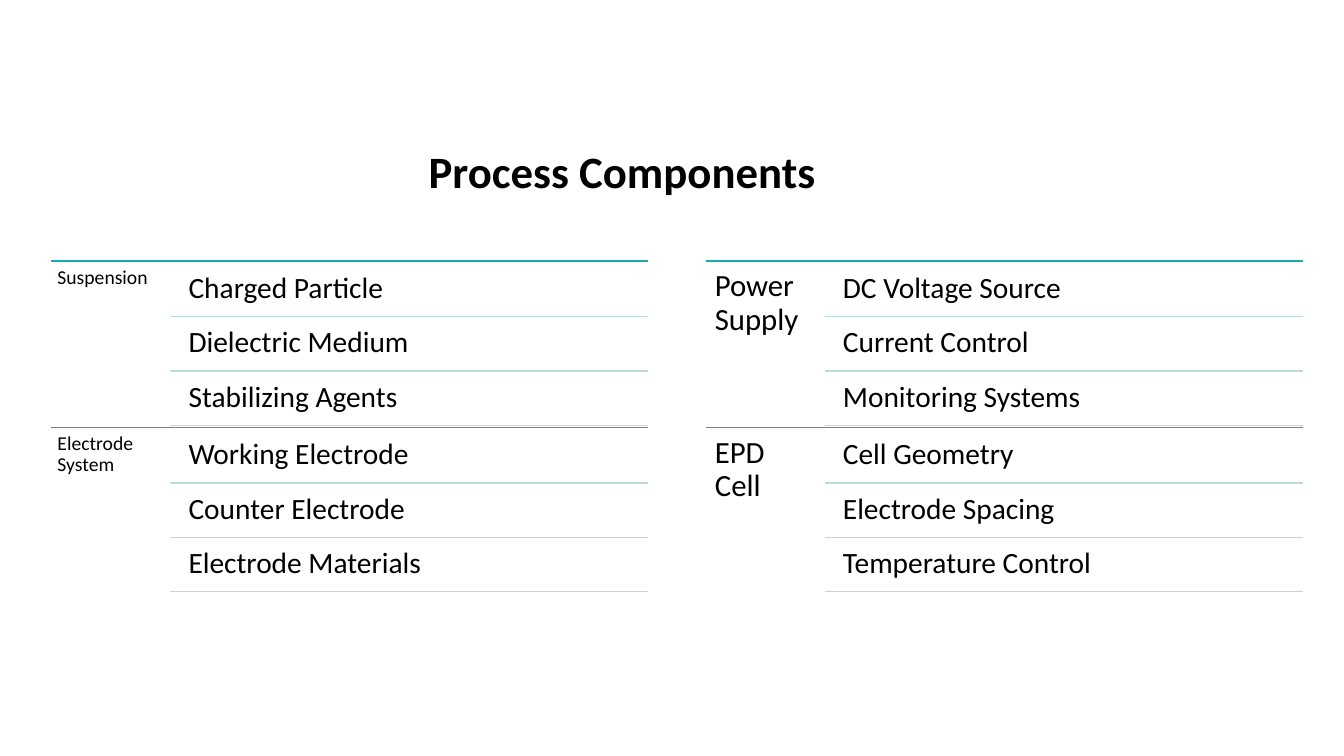
from dataclasses import dataclass

from lxml import etree
from pptx import Presentation
from pptx import util as u
from pptx.dml.color import RGBColor
from pptx.enum import shapes, text
from pptx.oxml import ns


@dataclass(frozen=True)
class Theme:
    font: str = "Calibri"
    ink: str = "000000"
    rule: str = "16AEA7"
    thin: str = "BDDBD9"
    title: int = 32
    item: int = 21
    small: int = 14
    large: int = 22


THEME = Theme()
LEFT = [
    ("Suspension", ["Charged Particle", "Dielectric Medium", "Stabilizing Agents"]),
    ("Electrode System", ["Working Electrode", "Counter Electrode", "Electrode Materials"]),
]
RIGHT = [
    ("Power Supply", ["DC Voltage Source", "Current Control", "Monitoring Systems"]),
    ("EPD Cell", ["Cell Geometry", "Electrode Spacing", "Temperature Control"]),
]


def px(n):
    return u.Emu(n * 9144)


def write(parent, words, box, size, pad=(9, 9), bold=False,
          align=text.PP_ALIGN.LEFT, anchor=text.MSO_ANCHOR.TOP):
    frame = parent.add_textbox(*map(px, box)).text_frame
    frame.word_wrap = True
    frame.vertical_anchor = anchor
    frame.margin_left = frame.margin_right = px(pad[0])
    frame.margin_top = frame.margin_bottom = px(pad[1])
    para = frame.paragraphs[0]
    para.alignment = align
    para.line_spacing = 0.9
    run = para.add_run()
    run.text = words
    font = run.font
    font.name = THEME.font
    font.size = u.Pt(size)
    font.bold = bold
    font.color.rgb = RGBColor.from_string(THEME.ink)


def rule(parent, left, right, y, color):
    line = parent.add_connector(
        shapes.MSO_CONNECTOR.STRAIGHT, px(left), px(y), px(right), px(y))
    line.line.color.rgb = RGBColor.from_string(color)
    line.line.width = u.Pt(1)
    etree.SubElement(line._element.spPr, ns.qn("a:effectLst"))


def section(parent, box, label, items, size, pad):
    left, top, width, height = box
    right = left + width
    inner = left + width // 5
    rule(parent, left, right, top, THEME.rule)
    write(parent, label, (left, top, inner - left, height), size, (pad, pad))
    for row, item in enumerate(items):
        y = top + 3 + row * 54
        write(parent, item, (inner + 9, y, right - inner - 9, 52), THEME.item)
        rule(parent, inner, right, y + 52, THEME.thin)


def panel(slide, box, parts, size, pad):
    left, top, width, height = box
    group = slide.shapes.add_group_shape().shapes
    step = height // len(parts)
    for i, (label, items) in enumerate(parts):
        section(group, (left, top + i * step, width, step), label, items, size, pad)


def header(slide, box):
    write(slide.shapes, "Process Components", box, THEME.title, pad=(10, 5),
          bold=True, align=text.PP_ALIGN.CENTER, anchor=text.MSO_ANCHOR.BOTTOM)


def main():
    deck = Presentation()
    deck.slide_width, deck.slide_height = px(1333), px(750)
    slide = deck.slides.add_slide(deck.slide_layouts[6])
    header(slide, (131, 98, 972, 104))
    panel(slide, (51, 259, 592, 330), LEFT, THEME.small, 6)
    panel(slide, (700, 259, 592, 330), RIGHT, THEME.large, 9)
    deck.save("out.pptx")


if __name__ == "__main__":
    main()
